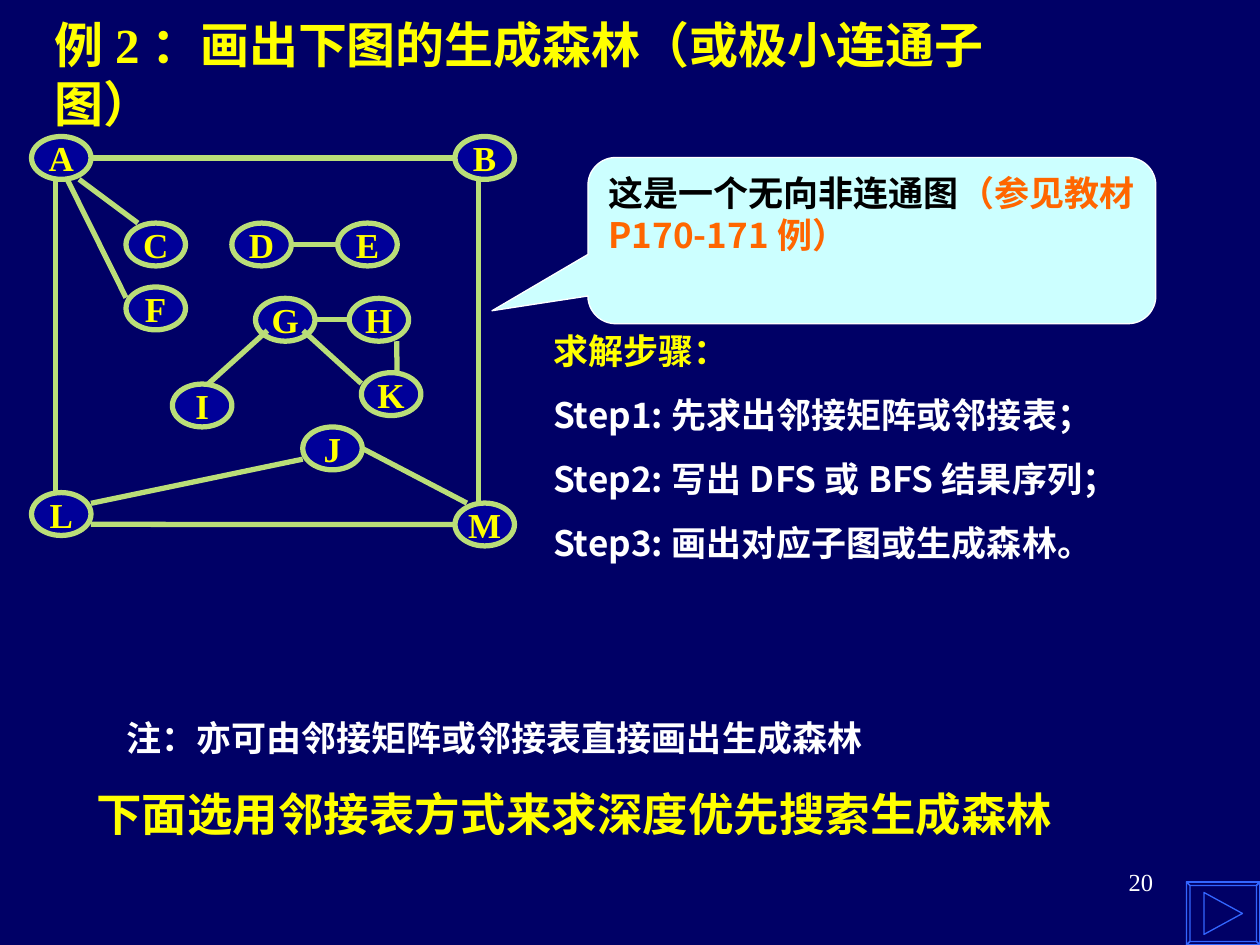
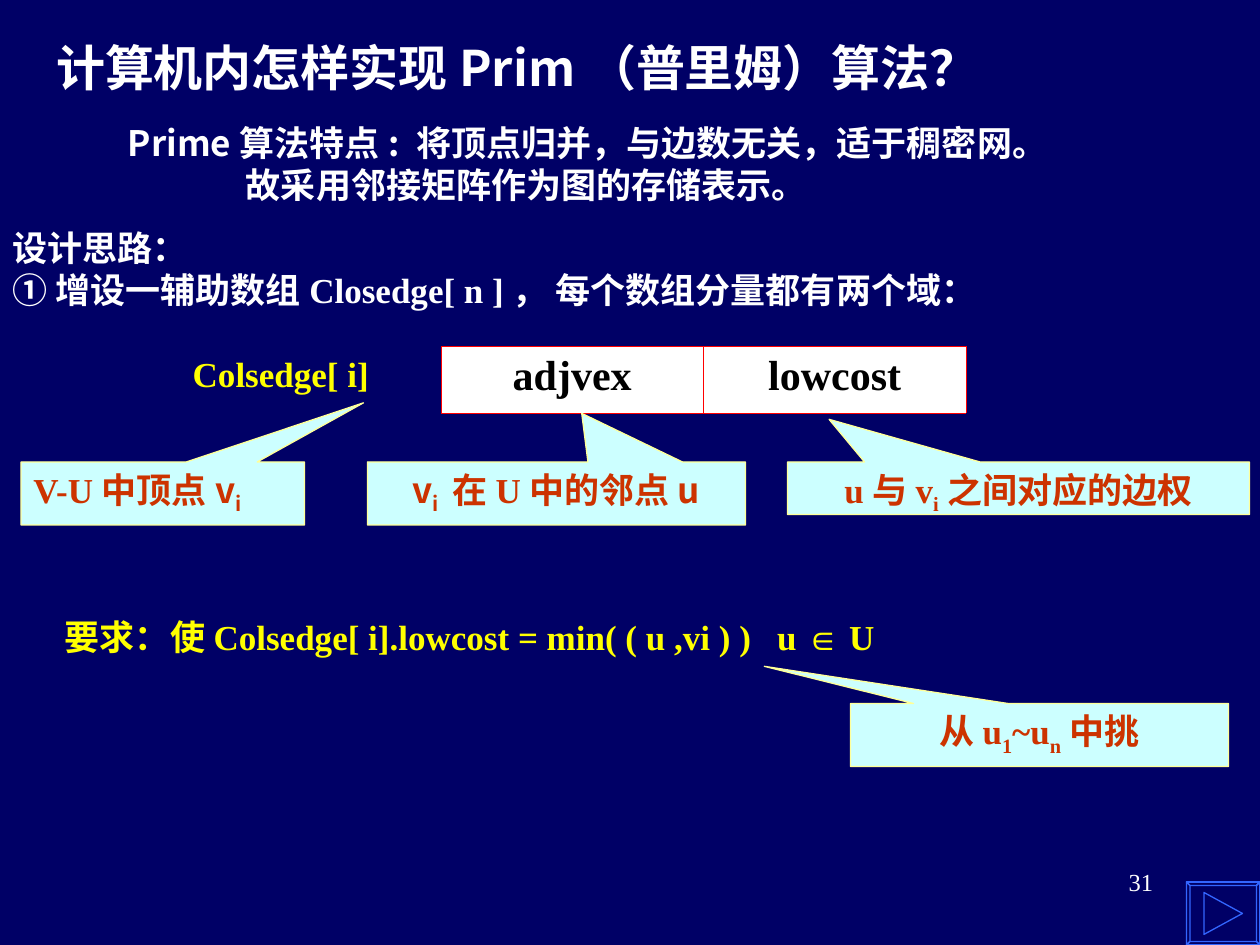
import pptx
import pptx.chart.data
import pptx.dml.color
import pptx.enum.shapes
import pptx.enum.text
import pptx.oxml.ns
import pptx.util
from lxml import etree

Pt = pptx.util.Pt
SHAPE = pptx.enum.shapes.MSO_SHAPE
ALIGN = pptx.enum.text.PP_ALIGN
ANCHOR = pptx.enum.text.MSO_ANCHOR

# Shared look
NAVY, NODE_BLUE, GREEN, YELLOW = "000066", "000099", "BADE78", "FFFF00"
WHITE, BLACK, ORANGE, RUST = "FFFFFF", "000000", "FF6600", "CC3300"
PALE_CYAN, PALE_YELLOW, BUTTON_BLUE, RED = "CCFFFF", "FFFF99", "3366FF", "FF0000"
SERIF, SANS = "Times New Roman", "Noto Sans CJK SC"
SUB = {"sub": True}

# Slide 1 content: a paragraph is a list of (text, format changes)
FOREST_TITLE = [[("例2：画出下图的生成森林（或极小连通子图）", {})]]
STEPS = [
    [("求解步骤：", {"color": YELLOW})],
    [("Step1:先求出邻接矩阵或邻接表；", {})],
    [("Step2:写出DFS或BFS结果序列；", {})],
    [("Step3:画出对应子图或生成森林。", {})],
]
GRAPH_NOTE = [[("这是一个无向非连通图", {}),
               ("（参见教材P170-171例）", {"font": SANS, "color": ORANGE})]]
REMARK = [[("注：亦可由邻接矩阵或邻接表直接画出生成森林", {})]]
NEXT_STEP = [[("下面选用邻接表方式来求深度优先搜索生成森林", {})]]

NODE_W, NODE_H = 34, 24.5
NODES = {
    "A": (18, 78), "B": (260, 78), "C": (72, 127.5), "D": (132.5, 127.5),
    "E": (193, 127.5), "F": (72, 164), "G": (146, 170.5), "H": (199.5, 170.5),
    "I": (98.5, 219.5), "J": (173, 244), "K": (206.5, 213), "L": (18, 281.5),
    "M": (260, 287.5),
}
# Each end is a node and the share of its width and height
EDGES = [
    ("A", 1, .5, "B", 0, .5), ("A", .4, 1, "L", .4, 0), ("A", .8, 1, "C", .2, 0),
    ("A", .6, 1, "F", 0, .25), ("B", .4, 1, "M", .4, 0), ("L", 1, .74, "M", 0, .5),
    ("L", 1, .25, "J", 0, .75), ("J", 1, .5, "M", .2, 0), ("D", 1, .5, "E", 0, .5),
    ("G", 1, .5, "H", 0, .5), ("G", .2, .75, "I", .6, 0), ("G", .8, .75, "K", 0, .25),
    ("H", .8, 1, "K", .6, 0),
]

# Slide 2 content
PRIM_TITLE = [[("计算机内怎样实现Prim（普里姆）算法？", {})]]
FEATURES = [
    [("Prime算法特点: 将顶点归并，与边数无关，适于稠密网。", {})],
    [("故采用邻接矩阵作为图的存储表示。", {})],
]
DESIGN = [
    [("设计思路：", {})],
    [("① 增设一辅助数组", {}), ("Closedge[ n ]， ", {"font": SERIF}), ("每个", {}),
     ("数组分量都", {"font": SERIF}), ("有两个域：", {})],
]
ARRAY_NAME = [[("Colsedge[ i]", {})]]
FIELDS = ["adjvex", "lowcost"]
REQUIREMENT = [[("要求：使Colsedge[ i].lowcost = min( ( u ,vi ) )\tu ", {}),
                ("∈", {"font": "Arial"}), (" U", {})]]
# Box, callout tip, alignment, text
CALLOUTS = [
    ((12, 264, 162, 36), (.708, -1.438), ALIGN.LEFT,
     [("V-U", {}), ("中顶点v", {"font": SANS}), ("i", {"font": SANS, **SUB})]),
    ((210, 264, 216, 36), (.067, -1.271), ALIGN.CENTER,
     [("v", {"font": SANS}), ("i ", {"font": SANS, **SUB}), ("在U", {}),
      ("中的邻点u", {"font": SANS})]),
    ((450, 264, 264, 30), (-.41, -1.312), ALIGN.CENTER,
     [("u与v", {}), ("i", SUB), ("之间对应的边权", {})]),
    ((486, 402, 216, 36), (-.728, -1.09), ALIGN.CENTER,
     [("从u", {}), ("1", SUB), ("~u", {}), ("n", SUB), ("中挑", {})]),
]


def rgb(color):
    return pptx.dml.color.RGBColor.from_string(color)


def points(*values):
    return [Pt(v) for v in values]


def sub_element(parent, tag, **attrs):
    return etree.SubElement(parent, pptx.oxml.ns.qn(tag), attrs)


def write(tf, paragraphs, size=20, font=SERIF, color=WHITE, bold=True,
          align=ALIGN.LEFT, gap=0):
    for i, runs in enumerate(paragraphs):
        p = tf.paragraphs[0] if i == 0 else tf.add_paragraph()
        p.alignment = align
        if i and gap:
            p.space_before = Pt(gap)
        for text, changes in runs:
            r = p.add_run()
            r.text = text
            name = changes.get("font", font)
            for key, value in {"size": Pt(size), "bold": bold, "name": name}.items():
                setattr(r.font, key, value)
            r.font.color.rgb = rgb(changes.get("color", color))
            rpr = r.font._element
            sub_element(rpr, "a:ea", typeface=SANS)
            if changes.get("sub"):
                rpr.set("baseline", "-25000")


def add_text(s, box, paragraphs, anchor=ANCHOR.TOP, wrap=True, **fmt):
    tf = s.shapes.add_textbox(*points(*box)).text_frame
    tf.word_wrap = wrap
    tf.vertical_anchor = anchor
    write(tf, paragraphs, **fmt)
    return tf


def add_box(s, kind, box, paragraphs, fill, line, width=.75, anchor=ANCHOR.TOP,
            wrap=True, adjust=(), **fmt):
    sp = s.shapes.add_shape(kind, *points(*box))
    sp.shadow.inherit = False
    for i, value in enumerate(adjust):
        sp.adjustments[i] = value
    sp.fill.solid()
    sp.fill.fore_color.rgb = rgb(fill)
    sp.line.color.rgb = rgb(line)
    sp.line.width = Pt(width)
    sp.text_frame.word_wrap = wrap
    sp.text_frame.vertical_anchor = anchor
    write(sp.text_frame, paragraphs, **fmt)


def add_next_button(s):
    """Bevelled frame with a forward triangle, bottom right."""
    left, top, right, bottom, bevel = 678, 504, 720, 540, 2.4
    outer = [(left, top), (right, top), (right, bottom), (left, bottom)]
    inner = [(left + bevel, top + bevel), (right - bevel, top + bevel),
             (right - bevel, bottom - bevel), (left + bevel, bottom - bevel)]
    sides = [[outer[i], outer[(i + 1) % 4], inner[(i + 1) % 4], inner[i]]
             for i in range(4)]
    triangle = [(687.5, 510.5), (710.5, 522), (687.5, 533.5)]
    fb = s.shapes.build_freeform(*outer[0], scale=Pt(1))
    fb.add_line_segments(outer[1:], close=True)
    for outline in sides + [triangle]:
        fb.move_to(*outline[0])
        fb.add_line_segments(outline[1:], close=True)
    sp = fb.convert_to_shape()
    sp.shadow.inherit = False
    sp.fill.background()
    sp.line.color.rgb = rgb(BUTTON_BLUE)
    sp.line.width = Pt(.75)


def new_slide(prs, number, title, box, **title_fmt):
    s = prs.slides.add_slide(prs.slide_layouts[6])
    s.background.fill.solid()
    s.background.fill.fore_color.rgb = rgb(NAVY)
    add_text(s, box, title, anchor=ANCHOR.MIDDLE, size=28, **title_fmt)
    add_text(s, (516, 492, 150, 36), [[(number, {})]], size=14, bold=False,
             align=ALIGN.RIGHT)
    add_next_button(s)
    return s


def add_graph(s):
    for name, (x, y) in NODES.items():
        add_box(s, SHAPE.OVAL, (x, y, NODE_W, NODE_H), [[(name, {})]], NODE_BLUE,
                GREEN, width=3, anchor=ANCHOR.MIDDLE, wrap=False, color=YELLOW,
                align=ALIGN.CENTER)
    for start, sx, sy, end, ex, ey in EDGES:
        ends = [(NODES[n][0] + fx * NODE_W, NODES[n][1] + fy * NODE_H)
                for n, fx, fy in ((start, sx, sy), (end, ex, ey))]
        c = s.shapes.add_connector(pptx.enum.shapes.MSO_CONNECTOR.STRAIGHT,
                                   *points(*ends[0], *ends[1]))
        c.line.color.rgb = rgb(GREEN)
        c.line.width = Pt(3)
        sub_element(c._element.spPr, "a:effectLst")


def add_field_table(s):
    table = s.shapes.add_table(1, len(FIELDS), *points(252, 198, 300, 38)).table
    for cell, field in zip(table.rows[0].cells, FIELDS):
        tc_pr = cell._tc.get_or_add_tcPr()
        for side in ("a:lnL", "a:lnR", "a:lnT", "a:lnB"):
            ln = sub_element(tc_pr, side, w=str(Pt(.45)))
            sub_element(sub_element(ln, "a:solidFill"), "a:srgbClr", val=RED)
        cell.fill.solid()
        cell.fill.fore_color.rgb = rgb(WHITE)
        write(cell.text_frame, [[(field, {})]], size=24, color=BLACK,
              align=ALIGN.CENTER)


def forest_slide(prs):
    s = new_slide(prs, "20", FOREST_TITLE, (24, 18, 594, 48), color=YELLOW)
    add_graph(s)
    add_text(s, (309, 185, 411, 141), STEPS, font=SANS, gap=12.5)
    add_box(s, SHAPE.ROUNDED_RECTANGULAR_CALLOUT, (336, 90, 324.5, 95), GRAPH_NOTE,
            PALE_CYAN, WHITE, adjust=(-.669, .422, .167), color=BLACK)
    add_text(s, (48, 445.5, 588, 39), NEXT_STEP, size=26, font=SANS, color=YELLOW)
    add_text(s, (65, 406, 584, 32), REMARK, font=SANS)


def prim_slide(prs):
    s = new_slide(prs, "31", PRIM_TITLE, (25, 20, 534, 36), font=SANS)
    tf = add_text(s, (66, 66, 554, 55), FEATURES, font=SANS)
    indent = tf.paragraphs[1]._p.get_or_add_pPr()
    for key, value in {"marL": Pt(67.5), "indent": 0}.items():
        indent.set(key, str(value))
    add_text(s, (0, 126, 672, 55), DESIGN, font=SANS)
    add_text(s, (103, 198, 115, 32), ARRAY_NAME, wrap=False, color=YELLOW)
    add_field_table(s)
    tf = add_text(s, (30, 348, 600, 32), REQUIREMENT, color=YELLOW)
    tabs = sub_element(tf.paragraphs[0]._p.get_or_add_pPr(), "a:tabLst")
    sub_element(tabs, "a:tab", pos=str(Pt(407)), algn="l")
    for box, tip, align, runs in CALLOUTS:
        add_box(s, SHAPE.RECTANGULAR_CALLOUT, box, [runs], PALE_CYAN, PALE_YELLOW,
                adjust=tip, color=RUST, align=align)


def main():
    prs = pptx.Presentation()
    prs.slide_width, prs.slide_height = points(720, 540)
    forest_slide(prs)
    prim_slide(prs)
    prs.save("out.pptx")


if __name__ == "__main__":
    main()
